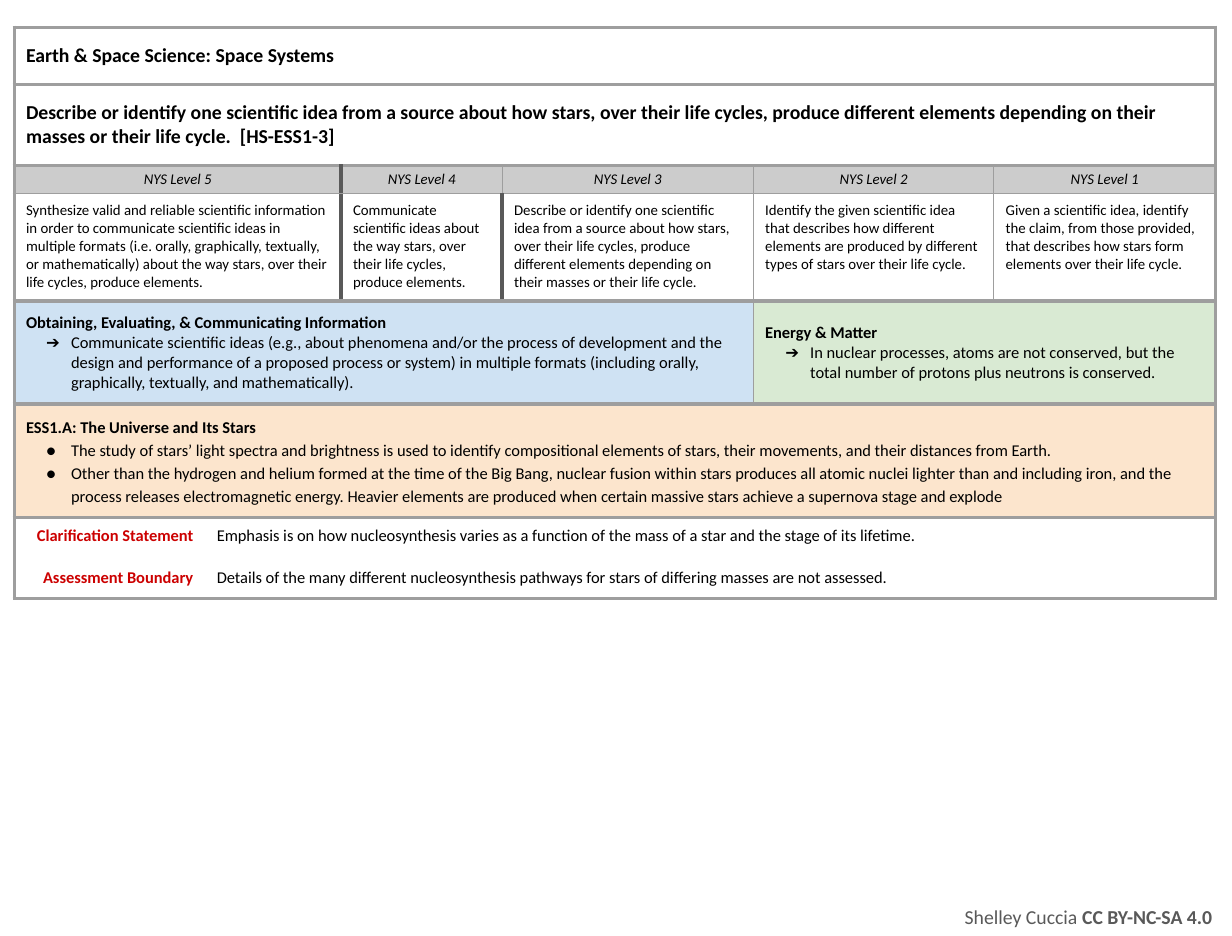
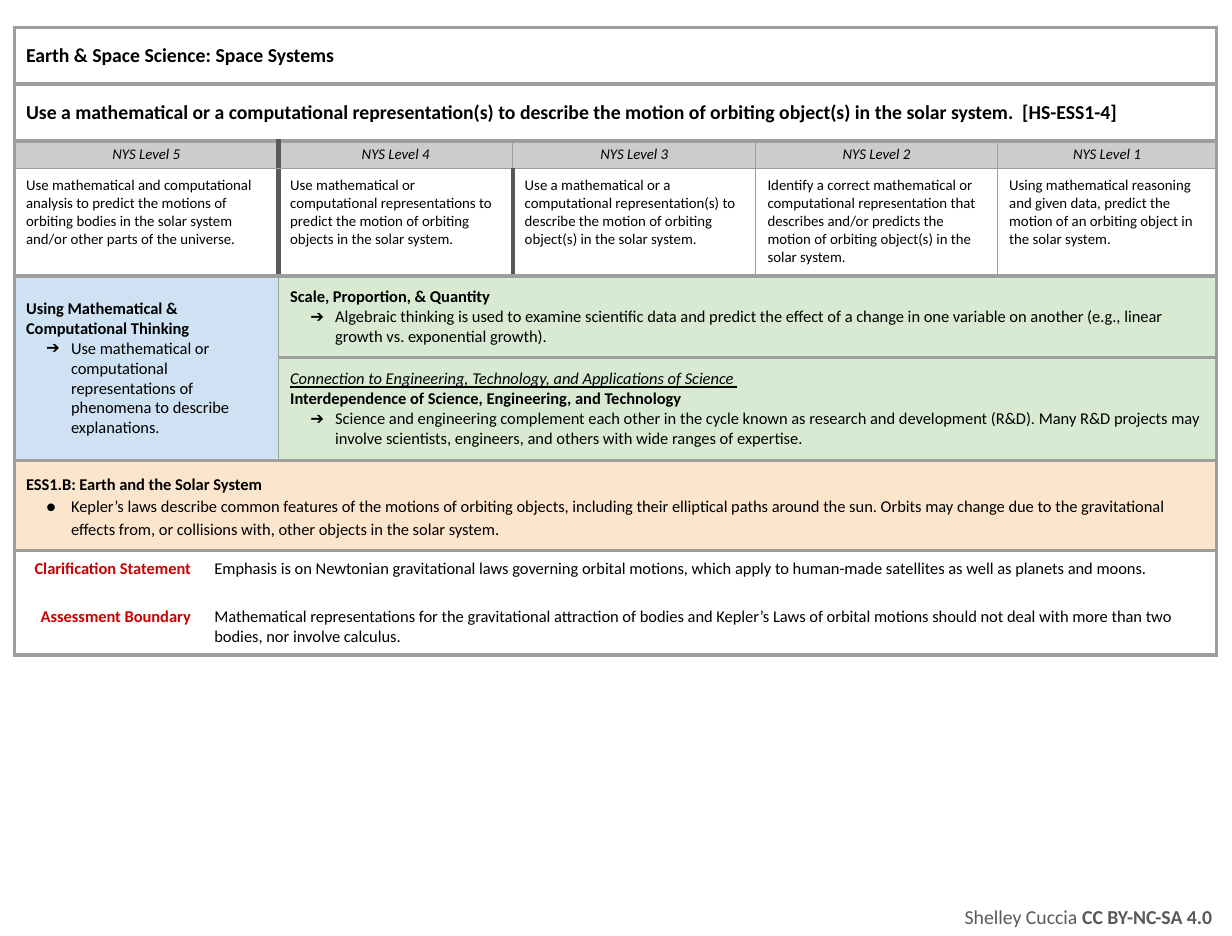
from lxml import etree
from pptx import Presentation
from pptx.dml.color import RGBColor
from pptx.enum.text import MSO_ANCHOR, PP_ALIGN
from pptx.oxml.ns import qn
from pptx.util import Inches, Pt

MIDDLE, TOP = MSO_ANCHOR.MIDDLE, MSO_ANCHOR.TOP
LEFT, CENTER, RIGHT = PP_ALIGN.LEFT, PP_ALIGN.CENTER, PP_ALIGN.RIGHT

THEME = {
    "font": "Calibri",
    "ink": "000000", "label": "CC0000", "footer": "595959",
    "header": "CCCCCC", "practice": "CFE2F3", "concept": "D9EAD3", "idea": "FCE5CD",
    "title_size": 12, "body_size": 10, "level_size": 9,
    "heavy": ("9E9E9E", 2.25), "thin": ("9E9E9E", 0.75), "divider": ("595959", 3),
}

CELL_STYLES = {
    "title": {"inset": 0.14, "size": "title_size"},
    "header": {"inset": 0.04, "size": "level_size", "fill": "header", "align": CENTER,
               "thin": ["B"], "dividers": [2]},
    "level": {"inset": 0.07, "size": "level_size", "anchor": TOP,
              "thin": ["T"], "dividers": [2, 3]},
    "practice": {"inset": 0.09, "fill": "practice"},
    "concept": {"inset": 0.09, "fill": "concept"},
    "idea": {"inset": 0.09, "fill": "idea", "spacing": 1.15},
    "clarification label": {"inset": 0.07, "anchor": TOP, "align": RIGHT, "open": ["R", "B"]},
    "clarification": {"inset": 0.07, "anchor": TOP, "open": ["L", "B"]},
    "boundary label": {"inset": 0.07, "anchor": TOP, "align": RIGHT, "open": ["R", "T"]},
    "boundary": {"inset": 0.07, "anchor": TOP, "open": ["L", "T"]},
}

PARAGRAPH_STYLES = {
    "plain": {},
    "heading": {"bold": True},
    "header": {"italic": True},
    "connection": {"italic": True, "underline": True},
    "label": {"bold": True, "color": "label"},
    "arrow": {"bullet": "➔"},
    "dot": {"bullet": "●"},
}

STANDARDS = [
    {
        "columns": [1.61, 1.15, 1.36, 2.12, 2.03, 1.87],
        "rows": [0.48, 0.68, 0.22, 0.91, 0.87, 0.96, 0.35, 0.33],
        "expectation": "Describe or identify one scientific idea from a source about how stars, over their life cycles, produce different elements depending on their masses or their life cycle.  [HS-ESS1-3]",
        "levels": [
            "Synthesize valid and reliable scientific information in order to communicate scientific ideas in multiple formats (i.e. orally, graphically, textually, or mathematically) about the way stars, over their life cycles, produce elements.",
            "Communicate scientific ideas about the way stars, over their life cycles, produce elements.",
            "Describe or identify one scientific idea from a source about how stars, over their life cycles, produce different elements depending on their masses or their life cycle.",
            "Identify the given scientific idea that describes how different elements are produced by different types of stars over their life cycle.",
            "Given a scientific idea, identify the claim, from those provided, that describes how stars form elements over their life cycle.",
        ],
        "dimensions": [
            (4, 0, 1, 4, "practice", [
                ("heading", "Obtaining, Evaluating, & Communicating Information"),
                ("arrow", "Communicate scientific ideas (e.g., about phenomena and/or the process of development and the design and performance of a proposed process or system) in multiple formats (including orally, graphically, textually, and mathematically)."),
            ]),
            (4, 4, 1, 2, "concept", [
                ("heading", "Energy & Matter"),
                ("arrow", "In nuclear processes, atoms are not conserved, but the total number of protons plus neutrons is conserved."),
            ]),
            (5, 0, 1, 6, "idea", [
                ("heading", "ESS1.A: The Universe and Its Stars"),
                ("dot", "The study of stars’ light spectra and brightness is used to identify compositional elements of stars, their movements, and their distances from Earth."),
                ("dot", "Other than the hydrogen and helium formed at the time of the Big Bang, nuclear fusion within stars produces all atomic nuclei lighter than and including iron, and the process releases electromagnetic energy. Heavier elements are produced when certain massive stars achieve a supernova stage and explode"),
            ]),
        ],
        "clarification": "Emphasis is on how nucleosynthesis varies as a function of the mass of a star and the stage of its lifetime.",
        "boundary": "Details of the many different nucleosynthesis pathways for stars of differing masses are not assessed.",
    },
    {
        "columns": [1.59, 0.64, 1.98, 2.05, 2.04, 1.85],
        "rows": [0.48, 0.48, 0.22, 0.91, 0.69, 0.87, 0.76, 0.4, 0.48],
        "expectation": "Use a mathematical or a computational representation(s) to describe the motion of orbiting object(s) in the solar system.  [HS-ESS1-4]",
        "levels": [
            "Use mathematical and computational analysis to predict the motions of orbiting bodies in the solar system and/or other parts of the universe.",
            "Use mathematical or computational representations to predict the motion of orbiting objects in the solar system.",
            "Use a mathematical or a computational representation(s) to describe the motion of orbiting object(s) in the solar system.",
            "Identify a correct mathematical or computational representation that describes and/or predicts the motion of orbiting object(s) in the solar system.",
            "Using mathematical reasoning and given data, predict the motion of an orbiting object in the solar system.",
        ],
        "dimensions": [
            (4, 0, 2, 2, "practice", [
                ("heading", "Using Mathematical & Computational Thinking"),
                ("arrow", "Use mathematical or computational representations of phenomena to describe explanations."),
            ]),
            (4, 2, 1, 4, "concept", [
                ("heading", "Scale, Proportion, & Quantity"),
                ("arrow", "Algebraic thinking is used to examine scientific data and predict the effect of a change in one variable on another (e.g., linear growth vs. exponential growth)."),
            ]),
            (5, 2, 1, 4, "concept", [
                ("connection", "Connection to Engineering, Technology, and Applications of Science "),
                ("heading", "Interdependence of Science, Engineering, and Technology"),
                ("arrow", "Science and engineering complement each other in the cycle known as research and development (R&D). Many R&D projects may involve scientists, engineers, and others with wide ranges of expertise."),
            ]),
            (6, 0, 1, 6, "idea", [
                ("heading", "ESS1.B: Earth and the Solar System"),
                ("dot", "Kepler’s laws describe common features of the motions of orbiting objects, including their elliptical paths around the sun. Orbits may change due to the gravitational effects from, or collisions with, other objects in the solar system."),
            ]),
        ],
        "clarification": "Emphasis is on Newtonian gravitational laws governing orbital motions, which apply to human-made satellites as well as planets and moons.",
        "boundary": "Mathematical representations for the gravitational attraction of bodies and Kepler’s Laws of orbital motions should not deal with more than two bodies, nor involve calculus.",
    },
]


def write_text(paragraph, text, size="body_size", color="ink", bold=False, italic=False,
               underline=False, align=LEFT, spacing=None, bullet=None):
    paragraph.alignment = align
    if spacing:
        paragraph.line_spacing = spacing
    if bullet:
        properties = paragraph._p.get_or_add_pPr()
        properties.set("marL", str(Inches(0.38)))
        properties.set("indent", str(Inches(-0.21)))
        bullet_color = etree.SubElement(properties, qn("a:buClr"))
        etree.SubElement(bullet_color, qn("a:srgbClr"), val=THEME["ink"])
        etree.SubElement(properties, qn("a:buFont"), typeface=THEME["font"])
        etree.SubElement(properties, qn("a:buChar"), char=bullet)
    run = paragraph.add_run()
    run.text = text
    font = run.font
    font.name = THEME["font"]
    font.size = Pt(THEME[size])
    font.bold, font.italic, font.underline = bold, italic, underline
    font.color.rgb = RGBColor.from_string(THEME[color])


def draw_borders(cell, borders):
    properties = cell._tc.get_or_add_tcPr()
    for side in "LRTB":
        line = etree.SubElement(properties, qn("a:ln" + side))
        if borders[side]:
            color, width = THEME[borders[side]]
            line.set("w", str(Pt(width)))
            fill = etree.SubElement(line, qn("a:solidFill"))
            etree.SubElement(fill, qn("a:srgbClr"), val=color)
        else:
            etree.SubElement(line, qn("a:noFill"))


presentation = Presentation()
presentation.slide_width = Inches(10.4)
presentation.slide_height = Inches(7.9)
blank_layout = presentation.slide_layouts[6]

for standard in STANDARDS:
    slide = presentation.slides.add_slide(blank_layout)
    columns, rows = standard["columns"], standard["rows"]
    table = slide.shapes.add_table(
        len(rows), len(columns), Inches(0.12), Inches(0.23),
        Inches(sum(columns)), Inches(sum(rows))).table
    table.first_row = table.horz_banding = False
    for column, width in zip(table.columns, columns):
        column.width = Inches(width)
    for row, height in zip(table.rows, rows):
        row.height = Inches(height)

    cells = [
        (0, 0, 1, 6, "title", [("heading", "Earth & Space Science: Space Systems")]),
        (1, 0, 1, 6, "title", [("heading", standard["expectation"])]),
    ]
    for index, description in enumerate(standard["levels"]):
        first = index + 1 if index else 0
        span = 1 if index else 2
        cells.append((2, first, 1, span, "header", [("header", f"NYS Level {5 - index}")]))
        cells.append((3, first, 1, span, "level", [("plain", description)]))
    cells += standard["dimensions"]
    for row_index, kind, label in [
        (len(rows) - 2, "clarification", "Clarification Statement"),
        (len(rows) - 1, "boundary", "Assessment Boundary"),
    ]:
        cells.append((row_index, 0, 1, 1, kind + " label", [("label", label)]))
        cells.append((row_index, 1, 1, 5, kind, [("plain", standard[kind])]))

    for top, left, row_span, column_span, kind, paragraphs in cells:
        style = CELL_STYLES[kind]
        bottom, right = top + row_span, left + column_span
        borders = {"T": "heavy", "B": "heavy"}
        for side, edge in (("L", left), ("R", right)):
            if edge in (0, len(columns)):
                borders[side] = "heavy"
            else:
                borders[side] = "divider" if edge in style.get("dividers", []) else "thin"
        for side in style.get("thin", []):
            borders[side] = "thin"
        for side in style.get("open", []):
            borders[side] = None

        cell = table.cell(top, left)
        if row_span * column_span > 1:
            cell.merge(table.cell(bottom - 1, right - 1))
        for row_index in range(top, bottom):
            for column_index in range(left, right):
                part = table.cell(row_index, column_index)
                draw_borders(part, borders)
                if "fill" in style:
                    part.fill.solid()
                    part.fill.fore_color.rgb = RGBColor.from_string(THEME[style["fill"]])
                else:
                    part.fill.background()
        cell.margin_left = cell.margin_right = Inches(0.1)
        cell.margin_top = cell.margin_bottom = Inches(style["inset"])
        cell.vertical_anchor = style.get("anchor", MIDDLE)
        for index, (role, text) in enumerate(paragraphs):
            frame = cell.text_frame
            paragraph = frame.add_paragraph() if index else frame.paragraphs[0]
            write_text(paragraph, text, size=style.get("size", "body_size"),
                       align=style.get("align", LEFT), spacing=style.get("spacing"),
                       **PARAGRAPH_STYLES[role])

    footer = slide.shapes.add_textbox(Inches(7.82), Inches(7.57), Inches(2.55), Inches(0.33))
    frame = footer.text_frame
    frame.word_wrap = True
    frame.vertical_anchor = MIDDLE
    frame.margin_left = frame.margin_right = Inches(0.1)
    frame.margin_top = frame.margin_bottom = Inches(0.1)
    for text, bold in (("Shelley Cuccia ", False), ("CC BY-NC-SA 4.0 ", True)):
        write_text(frame.paragraphs[0], text, size="title_size", color="footer",
                   bold=bold, align=RIGHT)

presentation.save("out.pptx")
